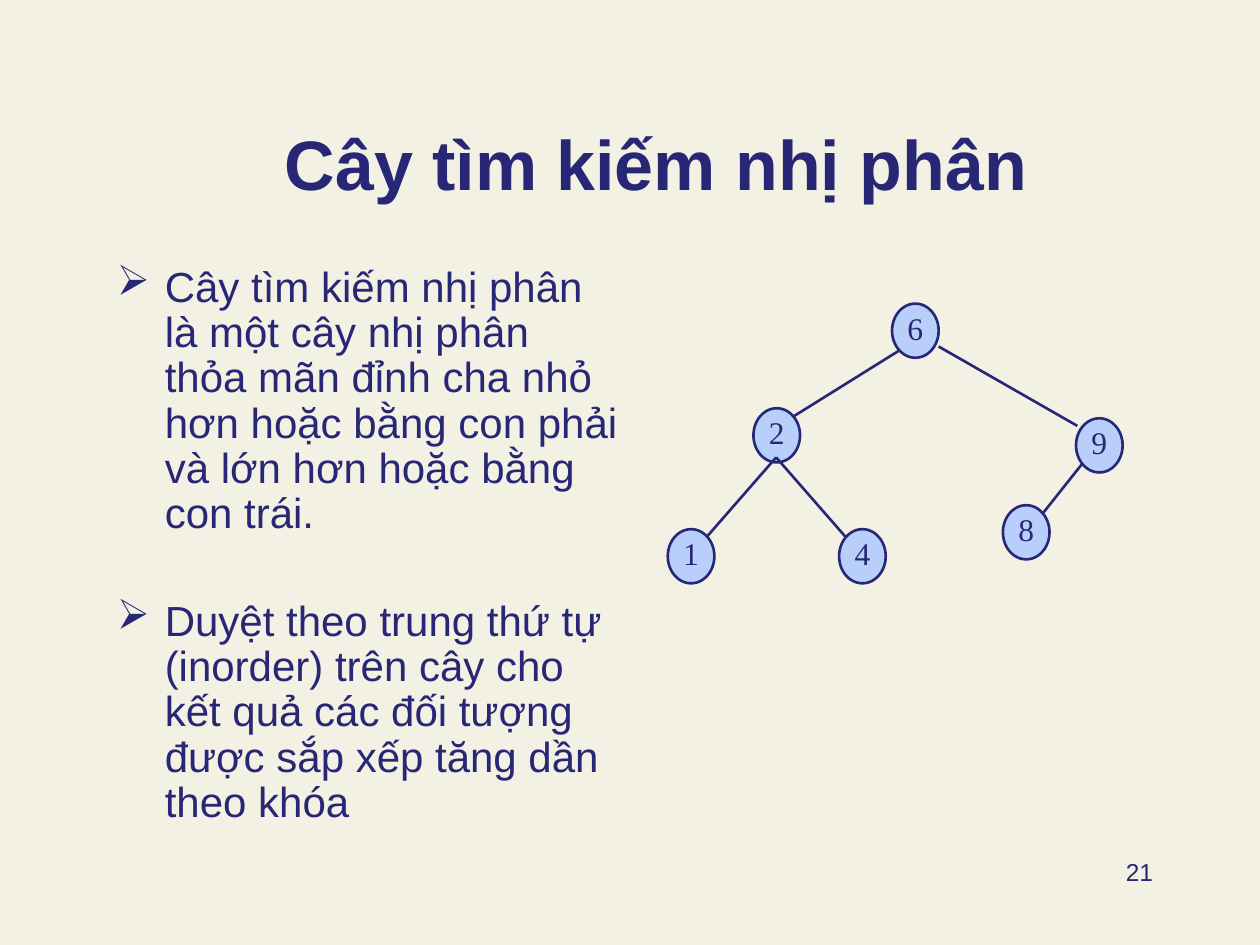
from pptx import Presentation
from pptx import util as u
from pptx.dml import color
from pptx.enum import shapes, text
from pptx.oxml import ns
from lxml import etree

INK, PALE, PAPER = "272776", "B8CFFB", "F3F1E4"
NODES = {"6": (1.78, 0), "9": (3.24, 0.91), "2": (0.68, 0.83),
         "4": (1.36, 1.79), "1": (0, 1.79), "8": (2.66, 1.6)}
EDGES = [(1.84, 0.37, 0.99, 0.9), (3.25, 0.97, 2.15, 0.34),
         (2.98, 1.66, 3.29, 1.27), (0.31, 1.85, 0.86, 1.22),
         (1.41, 1.85, 0.86, 1.22)]
POINTS = [
    "Cây tìm kiếm nhị phân là một cây nhị phân thỏa mãn đỉnh cha nhỏ hơn "
    "hoặc bằng con phải và lớn hơn hoặc bằng con trái.",
    "Duyệt theo trung thứ tự (inorder) trên cây cho kết quả các đối tượng "
    "được sắp xếp tăng dần theo khóa",
]


def paint(fmt, tone):
    """Give a fill a solid colour."""
    fmt.solid()
    fmt.fore_color.rgb = color.RGBColor.from_string(tone)


def place(shape, box):
    """Move and size a shape to a box in inches."""
    shape.left, shape.top, shape.width, shape.height = map(u.Inches, box)


def write(shape, lines, size, font="Arial", bold=False, align="LEFT",
          anchor="TOP", inset=(0.1, 0.05, 0.1, 0.05), wrap=True):
    """Fill a shape with formatted paragraphs and return them."""
    frame = shape.text_frame
    frame.text = "\n".join(lines)
    frame.auto_size = text.MSO_AUTO_SIZE.NONE
    frame.word_wrap = wrap
    frame.vertical_anchor = text.MSO_ANCHOR[anchor]
    (frame.margin_left, frame.margin_top,
     frame.margin_right, frame.margin_bottom) = map(u.Inches, inset)
    for para in frame.paragraphs:
        para.alignment = text.PP_ALIGN[align]
        for run in para.runs:
            run.font.name, run.font.size, run.font.bold = font, u.Pt(size), bold
            paint(run.font.fill, INK)
    return frame.paragraphs


def bullet(para, sign, indent):
    """Give a paragraph a hanging bullet."""
    props = para._p.get_or_add_pPr()
    props.set("marL", str(u.Inches(indent)))
    props.set("indent", str(-u.Inches(indent)))
    tone = etree.SubElement(props, ns.qn("a:buClr"))
    etree.SubElement(tone, ns.qn("a:srgbClr"), val=INK)
    etree.SubElement(props, ns.qn("a:buChar"), char=sign)


def head(slide, box):
    """Place the title."""
    place(slide.shapes.title, box)
    write(slide.shapes.title, ["Cây tìm kiếm nhị phân"], 40, bold=True,
          align="CENTER", anchor="BOTTOM")


def points(slide, box):
    """Place the bulleted text."""
    area = slide.shapes.add_textbox(*map(u.Inches, box))
    for index, para in enumerate(write(area, POINTS, 24)):
        para.line_spacing = 0.9
        para.space_before = u.Pt(35.5 if index else 0)
        bullet(para, "➢", 0.38)


def node(group, label, box):
    """Add one labelled tree node."""
    oval = group.shapes.add_shape(shapes.MSO_SHAPE.OVAL, *map(u.Inches, box))
    oval.shadow.inherit = False
    paint(oval.fill, PALE)
    paint(oval.line.fill, INK)
    oval.line.width = u.Pt(1.5)
    write(oval, [label], 18, font="Times New Roman", align="CENTER",
          anchor="MIDDLE", inset=(0, 0, 0, 0.05), wrap=False)


def edge(group, ends):
    """Add one line between tree nodes."""
    line = group.shapes.add_connector(shapes.MSO_CONNECTOR.STRAIGHT,
                                      *map(u.Inches, ends))
    paint(line.line.fill, INK)
    line.line.width = u.Pt(1.5)
    etree.SubElement(line._element.spPr, ns.qn("a:effectLst"))


def tree(slide, left, top):
    """Draw the search tree from its top left corner."""
    group = slide.shapes.add_group_shape()
    for label, (x, y) in NODES.items():
        node(group, label, (left + x, top + y, 0.37, 0.43))
    for x1, y1, x2, y2 in EDGES:
        edge(group, (left + x1, top + y1, left + x2, top + y2))


def number(slide, box):
    """Place the page number."""
    area = slide.shapes.add_textbox(*map(u.Inches, box))
    write(area, ["21"], 14, align="RIGHT")


def main():
    """Build and save the slide."""
    deck = Presentation()
    deck.slide_width, deck.slide_height = u.Inches(10), u.Inches(7.5)
    slide = deck.slides.add_slide(deck.slide_layouts[5])
    paint(slide.background.fill, PAPER)
    head(slide, (1, 0.42, 8.41, 1.25))
    points(slide, (0.83, 2.06, 4.17, 5))
    number(slide, (7.17, 6.75, 2.08, 0.5))
    tree(slide, 5.3, 2.41)
    deck.save("out.pptx")


if __name__ == "__main__":
    main()
